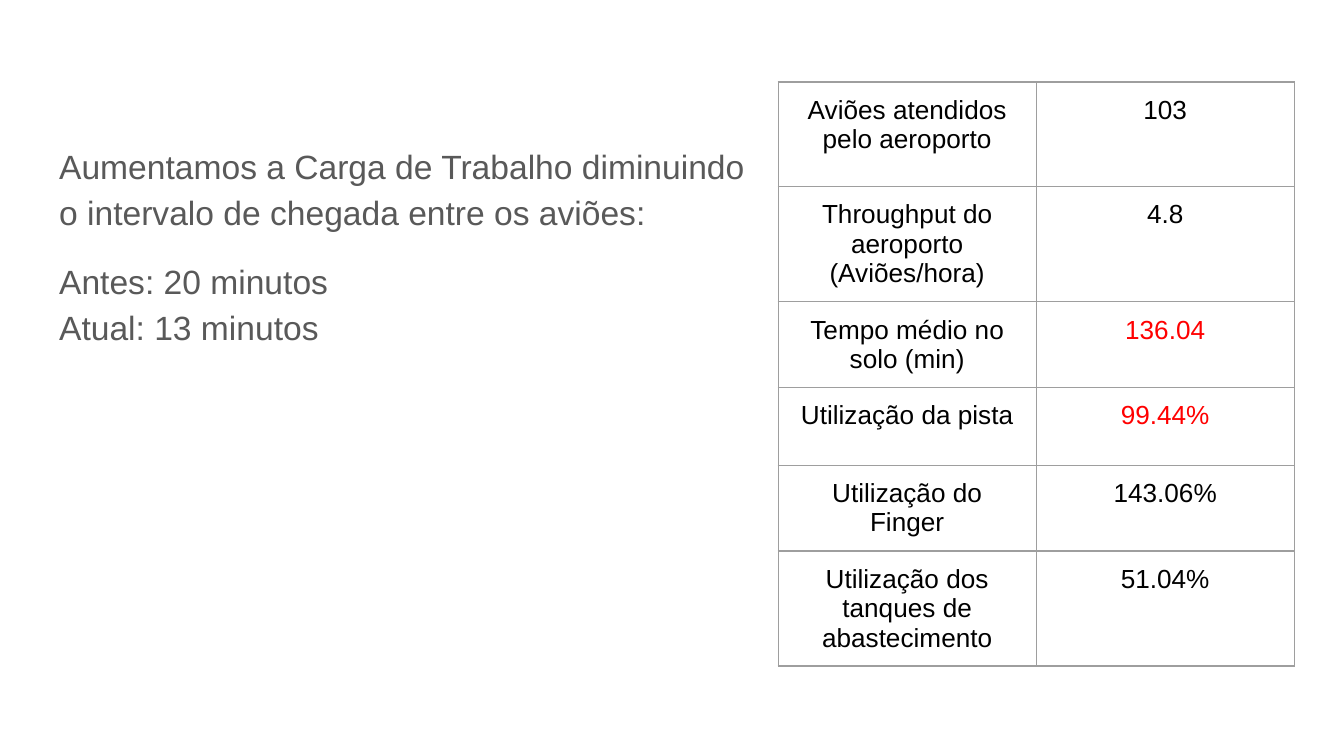
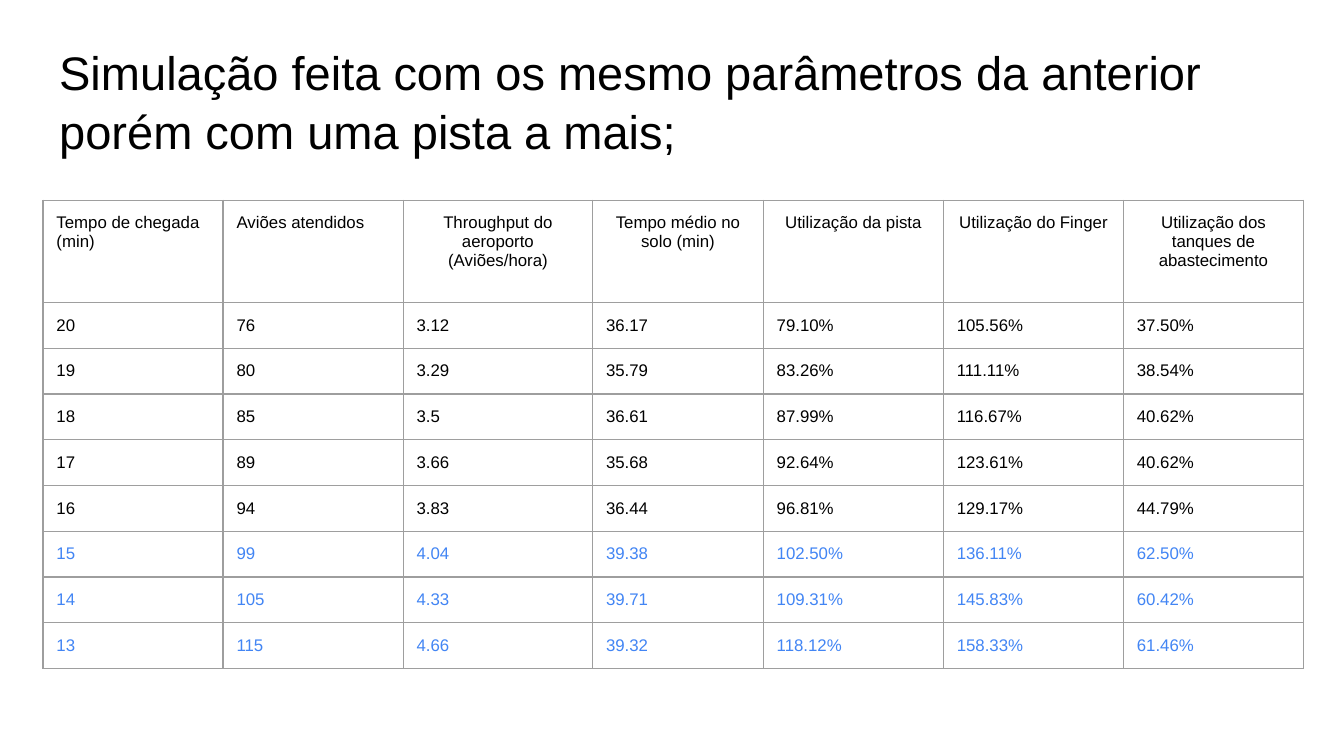
from dataclasses import dataclass
from typing import Optional

from lxml.etree import SubElement
from pptx import Presentation
from pptx.dml.color import RGBColor
from pptx.enum.text import MSO_ANCHOR, PP_ALIGN
from pptx.oxml.ns import qn
from pptx.util import Inches, Pt

# Shared style
FONT = "Arial"
BLACK, GRAY, RED, BLUE = "000000", "595959", "FF0000", "4285F4"
BORDER = "9E9E9E"
INSET = 0.1
BORDER_WIDTH = 0.75


@dataclass
class Cell:
    text: str
    color: str = BLACK
    align: Optional[PP_ALIGN] = None


@dataclass
class Grid:
    left: float
    top: float
    cols: list[float]
    rows: list[float]
    size: float
    cells: list[list[Cell]]


def rgb(color: str) -> RGBColor:
    return RGBColor.from_string(color)


def format_runs(p, size: float, color: str) -> None:
    for r in p.runs:
        r.font.name = FONT
        r.font.size = Pt(size)
        r.font.color.rgb = rgb(color)


def set_margins(target) -> None:
    """Give a cell or a text frame the common inset on all sides."""
    target.margin_left = target.margin_right = Inches(INSET)
    target.margin_top = target.margin_bottom = Inches(INSET)


def fill_placeholder(sp, box: tuple, paragraphs: list[str], size: float,
                     color: str, spacing: float, gap: float = 0) -> None:
    sp.left, sp.top, sp.width, sp.height = (Inches(v) for v in box)
    tf = sp.text_frame
    tf.word_wrap = True
    tf.vertical_anchor = MSO_ANCHOR.TOP
    set_margins(tf)
    for i, text in enumerate(paragraphs):
        p = tf.paragraphs[0] if i == 0 else tf.add_paragraph()
        p.text = text
        p.alignment = PP_ALIGN.LEFT
        p.line_spacing = spacing
        p.space_before = Pt(gap if i else 0)
        pPr = p._p.get_or_add_pPr()
        pPr.set("marL", "0")
        pPr.set("indent", "0")
        SubElement(pPr, qn("a:buNone"))
        format_runs(p, size, color)


def add_borders(cell) -> None:
    tcPr = cell._tc.get_or_add_tcPr()
    for side in ("lnL", "lnR", "lnT", "lnB"):
        ln = SubElement(tcPr, qn(f"a:{side}"), w=str(Pt(BORDER_WIDTH)))
        fill = SubElement(ln, qn("a:solidFill"))
        SubElement(fill, qn("a:srgbClr"), val=BORDER)


def add_grid(s, grid: Grid) -> None:
    table = s.shapes.add_table(
        len(grid.rows), len(grid.cols), Inches(grid.left), Inches(grid.top),
        Inches(sum(grid.cols)), Inches(sum(grid.rows))).table
    table.first_row = table.horz_banding = False
    for column, width in zip(table.columns, grid.cols):
        column.width = Inches(width)
    for row, height, cells in zip(table.rows, grid.rows, grid.cells):
        row.height = Inches(height)
        for cell, data in zip(row.cells, cells):
            set_margins(cell)
            add_borders(cell)
            cell.fill.background()
            p = cell.text_frame.paragraphs[0]
            p.text = data.text
            p.alignment = data.align
            format_runs(p, grid.size, data.color)


prs = Presentation()
prs.slide_width, prs.slide_height = Inches(10), Inches(5.625)

# Labels that both tables use
THROUGHPUT = "Throughput do aeroporto (Aviões/hora)"
GROUND_TIME = "Tempo médio no solo (min)"
RUNWAY = "Utilização da pista"
FINGER = "Utilização do Finger"
TANKS = "Utilização dos tanques de abastecimento"

# Slide 1: heavier workload
s = prs.slides.add_slide(prs.slide_layouts[1])
title = s.shapes.title
title._element.getparent().remove(title._element)
fill_placeholder(
    s.placeholders[1], (0.34, 0.94, 5.45, 3.74),
    ["Aumentamos a Carga de Trabalho diminuindo o intervalo de chegada "
     "entre os aviões:",
     "Antes: 20 minutos\vAtual: 13 minutos"],
    size=18, color=GRAY, spacing=1.15, gap=12)

results = [
    ("Aviões atendidos pelo aeroporto", "103", BLACK),
    (THROUGHPUT, "4.8", BLACK),
    (GROUND_TIME, "136.04", RED),
    (RUNWAY, "99.44%", RED),
    (FINGER, "143.06%", BLACK),
    (TANKS, "51.04%", BLACK),
]
add_grid(s, Grid(
    5.79, 0.61, [1.92] * 2, [0.78, 0.78, 0.58, 0.58, 0.58, 0.78], 14,
    [[Cell(label, align=PP_ALIGN.CENTER), Cell(value, color, PP_ALIGN.CENTER)]
     for label, value, color in results]))

# Slide 2: simulation with one more runway
s = prs.slides.add_slide(prs.slide_layouts[5])
fill_placeholder(
    s.shapes.title, (0.34, 0.21, 9.32, 0.98),
    ["Simulação feita com os mesmo parâmetros da anterior porém com uma "
     "pista a mais;"],
    size=25.2, color=BLACK, spacing=1.04)

header = [Cell("Tempo de chegada (min)"), Cell("Aviões atendidos")]
header += [Cell(label, align=PP_ALIGN.CENTER)
           for label in (THROUGHPUT, GROUND_TIME, RUNWAY, FINGER, TANKS)]
runs = [
    ("20", "76", "3.12", "36.17", "79.10%", "105.56%", "37.50%"),
    ("19", "80", "3.29", "35.79", "83.26%", "111.11%", "38.54%"),
    ("18", "85", "3.5", "36.61", "87.99%", "116.67%", "40.62%"),
    ("17", "89", "3.66", "35.68", "92.64%", "123.61%", "40.62%"),
    ("16", "94", "3.83", "36.44", "96.81%", "129.17%", "44.79%"),
    ("15", "99", "4.04", "39.38", "102.50%", "136.11%", "62.50%"),
    ("14", "105", "4.33", "39.71", "109.31%", "145.83%", "60.42%"),
    ("13", "115", "4.66", "39.32", "118.12%", "158.33%", "61.46%"),
]
# Arrival intervals of 15 minutes or less are highlighted
body = [[Cell(value, BLUE if int(run[0]) <= 15 else BLACK) for value in run]
        for run in runs]
add_grid(s, Grid(
    0.32, 1.49, [1.34, 1.34, 1.41, 1.27, 1.34, 1.34, 1.34],
    [0.76] + [0.34] * len(runs), 9, [header] + body))

prs.save("out.pptx")
